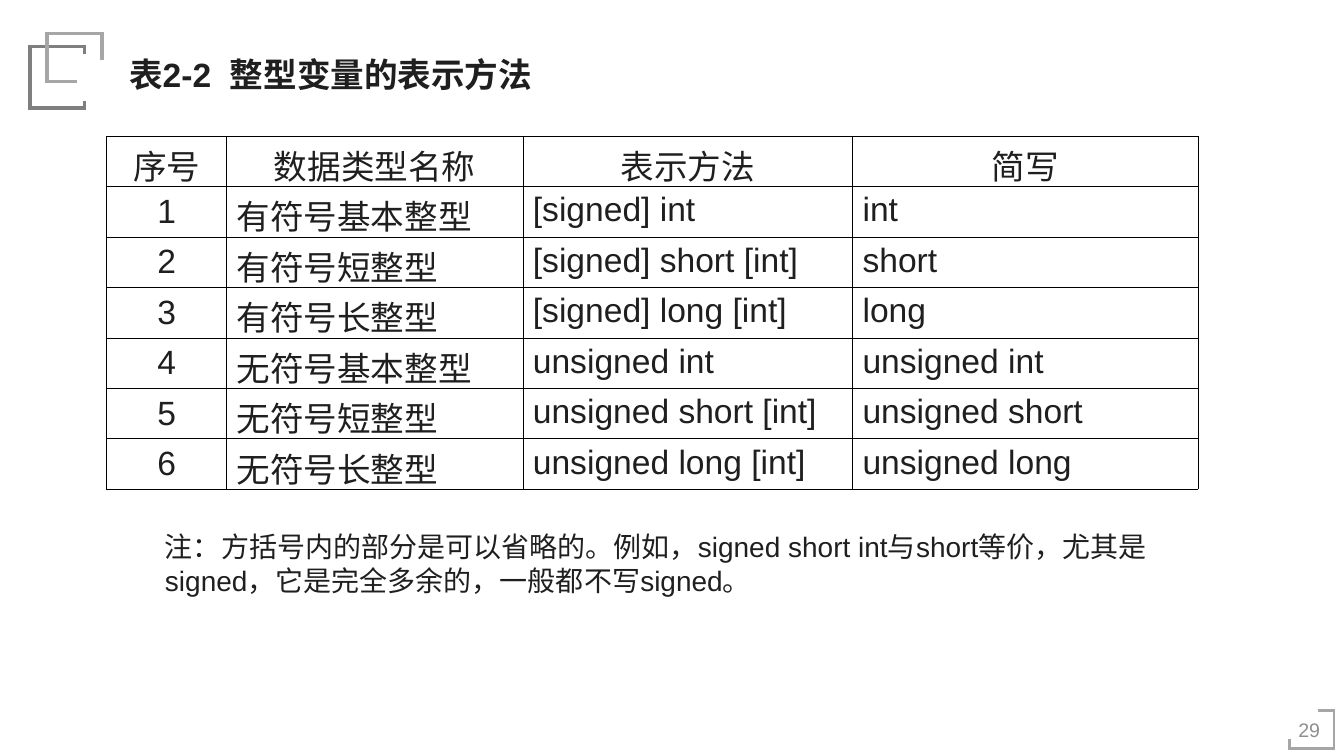
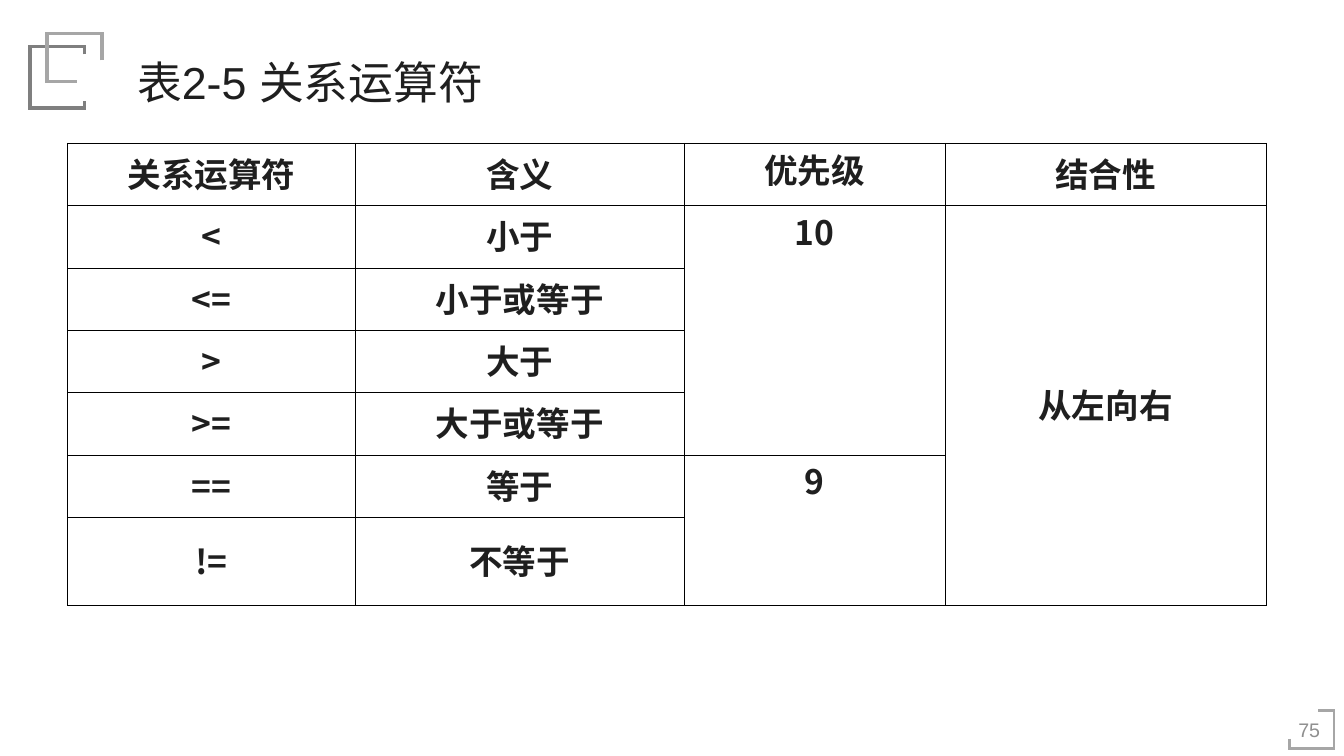
from lxml.etree import SubElement
from pptx import Presentation
from pptx.dml.color import RGBColor
from pptx.enum.text import MSO_ANCHOR, MSO_AUTO_SIZE, PP_ALIGN
from pptx.oxml.ns import qn
from pptx.util import Cm, Pt

INK = RGBColor(0x1F, 0x1F, 0x1F)
PAGE_GREY = RGBColor(0x8F, 0x8F, 0x8F)
DARK_GREY = RGBColor(0x7F, 0x7F, 0x7F)
LIGHT_GREY = RGBColor(0xA6, 0xA6, 0xA6)
BORDER = RGBColor(0x00, 0x00, 0x00)

# Text formats
TITLE_BOLD = {"name": "Arial", "size": Pt(24), "bold": True}
TITLE_LARGE = {"name": "Arial", "size": Pt(32), "bold": False}
CELL_PLAIN = {"name": "Arial", "size": Pt(24), "bold": False}
CELL_BOLD = {"name": "Noto Sans CJK SC", "size": Pt(24), "bold": True}
NOTE = {"name": "Arial", "size": Pt(20)}
PAGE_NUMBER = {"name": "Arial", "size": Pt(14)}


def write(frame, text, text_format, align=PP_ALIGN.LEFT, color=INK):
    paragraph = frame.paragraphs[0]
    paragraph.alignment = align
    run = paragraph.add_run()
    run.text = text
    for attribute, value in text_format.items():
        setattr(run.font, attribute, value)
    run.font.color.rgb = color
    east_asian = SubElement(run._r.get_or_add_rPr(), qn("a:ea"))
    east_asian.set("typeface", text_format["name"])
    return paragraph


def add_grid(slide, left, top, widths, heights):
    grid = slide.shapes.add_table(len(heights), len(widths), left, top,
                                  Cm(sum(widths)), Cm(sum(heights))).table
    grid.first_row = grid.horz_banding = False
    for column, width in zip(grid.columns, widths):
        column.width = Cm(width)
    for row, height in zip(grid.rows, heights):
        row.height = Cm(height)
    for cell in grid.iter_cells():
        properties = cell._tc.get_or_add_tcPr()
        for side in ("lnL", "lnR", "lnT", "lnB"):
            line = SubElement(properties, qn(f"a:{side}"), w=str(Pt(0.45)))
            fill = SubElement(line, qn("a:solidFill"))
            SubElement(fill, qn("a:srgbClr"), val=str(BORDER))
        cell.fill.background()
    return grid


deck = Presentation()
deck.slide_width, deck.slide_height = Cm(33.88), Cm(19.05)
layout = deck.slide_layouts[5]

# Slides with title and page number
titles = [
    ("表2-2  整型变量的表示方法", TITLE_BOLD, (3, 1.22, 12, 1.27), MSO_ANCHOR.TOP, "29"),
    ("表2-5 关系运算符", TITLE_LARGE, (3.2, 1.25, 12, 1.63), MSO_ANCHOR.MIDDLE, "75"),
]
slides = []
for text, text_format, place, anchor, number in titles:
    slide = deck.slides.add_slide(layout)
    slides.append(slide)
    title = slide.shapes.title
    title.left, title.top, title.width, title.height = map(Cm, place)
    title.text_frame.auto_size = MSO_AUTO_SIZE.NONE
    title.text_frame.vertical_anchor = anchor
    title.text_frame.word_wrap = True
    write(title.text_frame, text, text_format)

    page = slide.shapes.add_textbox(Cm(32.46), Cm(17.7), Cm(1.09), Cm(1.37)).text_frame
    page.word_wrap = True
    page.vertical_anchor = MSO_ANCHOR.MIDDLE
    page.margin_left = page.margin_right = Cm(0.18)
    page.margin_top = page.margin_bottom = Cm(0.1)
    write(page, number, PAGE_NUMBER, PP_ALIGN.CENTER, PAGE_GREY)
integer_slide, relation_slide = slides

# Corner brackets with sharp corners, moved to the shared layout
brackets = [
    (DARK_GREY, 2.5, [(2.13, 1.37), (2.13, 1.17), (0.76, 1.17),
                      (0.76, 2.72), (2.13, 2.72), (2.13, 2.54)]),
    (LIGHT_GREY, 2.5, [(2.57, 1.52), (2.57, 0.84), (1.19, 0.84),
                       (1.19, 2.06), (1.93, 2.06)]),
    (LIGHT_GREY, 2, [(32.51, 18.62), (32.51, 18.87), (33.63, 18.87),
                     (33.63, 17.91), (33.22, 17.91)]),
]
for color, weight, corners in brackets:
    points = [(Cm(x), Cm(y)) for x, y in corners]
    outline = integer_slide.shapes.build_freeform(*points[0])
    outline.add_line_segments(points[1:], close=False)
    bracket = outline.convert_to_shape()
    bracket.shadow.inherit = False
    bracket.fill.background()
    bracket.line.color.rgb = color
    bracket.line.width = Pt(weight)
    SubElement(bracket.element.spPr.find(qn("a:ln")), qn("a:miter"), lim="800000")
    layout.shapes.element.append(bracket.element)

# Integer types
integer_rows = [
    ("序号", "数据类型名称", "表示方法", "简写"),
    ("1", "有符号基本整型", "[signed] int", "int"),
    ("2", "有符号短整型", "[signed] short [int]", "short"),
    ("3", "有符号长整型", "[signed] long [int]", "long"),
    ("4", "无符号基本整型", "unsigned int", "unsigned int"),
    ("5", "无符号短整型", "unsigned short [int]", "unsigned short"),
    ("6", "无符号长整型", "unsigned long [int]", "unsigned long"),
]
integers = add_grid(integer_slide, Cm(2.69), Cm(3.43), [3.02, 7.47, 8.31, 8.71], [1.27] * 7)
for r, row in enumerate(integer_rows):
    for c, text in enumerate(row):
        cell = integers.cell(r, c)
        centred = r == 0 or c == 0
        write(cell.text_frame, text, CELL_PLAIN, PP_ALIGN.CENTER if centred else PP_ALIGN.LEFT)
        if r == 0 or c == 1:
            cell.vertical_anchor = MSO_ANCHOR.BOTTOM
            cell.margin_bottom = 0
        elif c == 0:
            cell.vertical_anchor = MSO_ANCHOR.MIDDLE

# Note under the integer types
note = integer_slide.shapes.add_textbox(Cm(3.91), Cm(13.23), Cm(27.2), Cm(1.96)).text_frame
note.word_wrap = True
write(note, "注：方括号内的部分是可以省略的。例如，signed short int与short等价，"
            "尤其是signed，它是完全多余的，一般都不写signed。", NOTE)

# Relational operators; None marks a cell covered by the one above
relation_rows = [
    ("关系运算符", "含义", "优先级", "结合性"),
    ("<", "小于", "10", "从左向右"),
    ("<=", "小于或等于", None, None),
    (">", "大于", None, None),
    (">=", "大于或等于", None, None),
    ("==", "等于", "9", None),
    ("!=", "不等于", None, None),
]
relations = add_grid(relation_slide, Cm(1.7), Cm(3.61), [7.26, 8.28, 6.58, 8.1],
                     [1.57] * 6 + [2.21])
for first, last, column in [(1, 4, 2), (5, 6, 2), (1, 6, 3)]:
    relations.cell(first, column).merge(relations.cell(last, column))
for r, row in enumerate(relation_rows):
    for c, text in enumerate(row):
        if text is None:
            continue
        cell = relations.cell(r, c)
        cell.vertical_anchor = MSO_ANCHOR.TOP if c == 2 else MSO_ANCHOR.MIDDLE
        write(cell.text_frame, text, CELL_BOLD, PP_ALIGN.CENTER).line_spacing = 0.9

deck.save("out.pptx")
